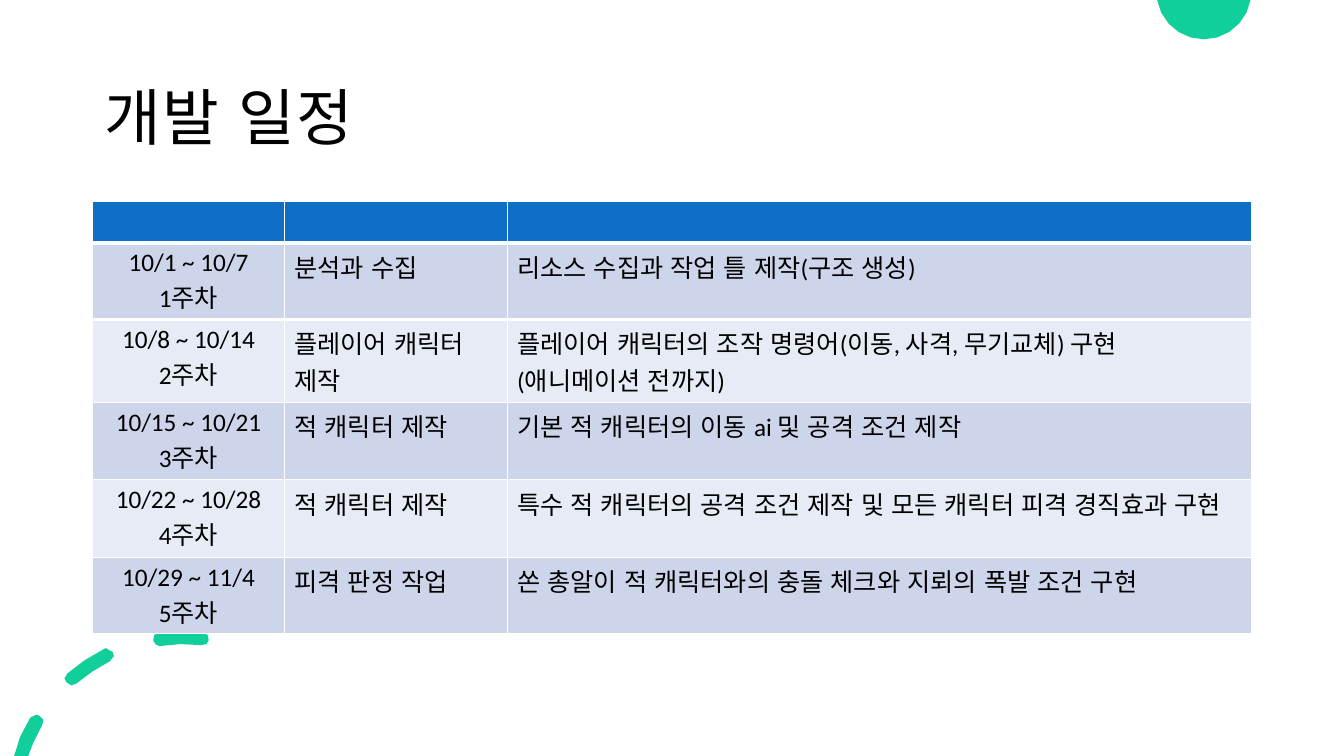
import math

import lxml.etree
import pptx
import pptx.dml.color
import pptx.enum.lang
import pptx.enum.text
import pptx.oxml
import pptx.oxml.ns
import pptx.util

# Scale: 100 px to the inch
EMU_PER_PX = 9144
SLIDE_SIZE = (1333, 750)

FONT = "Calibri"
GREEN = pptx.dml.color.RGBColor(0x10, 0xCF, 0x9B)
BLUE = pptx.dml.color.RGBColor(0x0F, 0x6F, 0xC6)
BAND_DARK = pptx.dml.color.RGBColor(0xCC, 0xD5, 0xEA)
BAND_LIGHT = pptx.dml.color.RGBColor(0xE7, 0xEB, 0xF5)
BLACK = pptx.dml.color.RGBColor(0x00, 0x00, 0x00)
WHITE = pptx.dml.color.RGBColor(0xFF, 0xFF, 0xFF)

# Corner dot: the part of a circle below the top edge
DOT_CENTER = (1194, -8)
DOT_RADIUS = 47
DOT_STEPS = 10

# Corner points of the three dashes
DASHES = [
    [(36, 709), (30, 712), (20, 731), (14, 750), (28, 750), (33, 737),
     (42, 719), (43, 714), (39, 710)],
    [(105, 643), (103, 644), (84, 655), (67, 668), (64, 673), (66, 677),
     (71, 680), (76, 678), (92, 666), (109, 656), (113, 651), (112, 647)],
    [(179, 625), (158, 627), (153, 630), (152, 635), (154, 639), (158, 641),
     (179, 639), (199, 640), (205, 639), (207, 635), (206, 630), (201, 627)],
]

COLUMN_WIDTHS = (190, 221, 738)
ROW_HEIGHTS = (41, 76, 82, 77, 77, 76)
SCHEDULE = [
    ("10/1 ~ 10/7", "분석과 수집", "리소스 수집과 작업 틀 제작(구조 생성)"),
    ("10/8 ~ 10/14", "플레이어 캐릭터\n제작",
     "플레이어 캐릭터의 조작 명령어(이동, 사격, 무기교체) 구현 (애니메이션 전까지)"),
    ("10/15 ~ 10/21", "적 캐릭터 제작", "기본 적 캐릭터의 이동 ai 및 공격 조건 제작"),
    ("10/22 ~ 10/28", "적 캐릭터 제작",
     "특수 적 캐릭터의 공격 조건 제작 및 모든 캐릭터 피격 경직효과 구현"),
    ("10/29 ~ 11/4", "피격 판정 작업",
     "쏜 총알이 적 캐릭터와의 충돌 체크와 지뢰의 폭발 조건 구현"),
]


def px(length):
    return pptx.util.Emu(round(length * EMU_PER_PX))


def format_runs(paragraph, size):
    for run in paragraph.runs:
        run.font.name = FONT
        run.font.size = pptx.util.Pt(size)
        run.font.bold = False
        run.font.color.rgb = BLACK
        run.font.language_id = pptx.enum.lang.MSO_LANGUAGE_ID.KOREAN


def dot_outline():
    """Return points along the arc from the right to the left edge crossing."""
    center_x, center_y = DOT_CENTER
    start = math.asin(-center_y / DOT_RADIUS)
    sweep = math.pi - 2 * start
    angles = [start + sweep * step / DOT_STEPS for step in range(DOT_STEPS + 1)]
    return [(center_x + DOT_RADIUS * math.cos(angle),
             center_y + DOT_RADIUS * math.sin(angle)) for angle in angles]


def add_outline(slide, contours):
    outlines = [[(px(x), px(y)) for x, y in contour] for contour in contours]
    builder = slide.shapes.build_freeform(*outlines[0][0])
    for index, points in enumerate(outlines):
        if index:
            builder.move_to(*points[0])
        builder.add_line_segments(points[1:], close=True)
    shape = builder.convert_to_shape()
    shape.shadow.inherit = False
    shape.fill.solid()
    shape.fill.fore_color.rgb = GREEN
    shape.line.fill.background()


def add_title(slide, text):
    shape = slide.shapes.add_textbox(px(92), px(40), px(1150), px(145))
    frame = shape.text_frame
    frame.word_wrap = True
    frame.vertical_anchor = pptx.enum.text.MSO_ANCHOR.MIDDLE
    frame.margin_left = frame.margin_top = frame.margin_right = px(12)
    frame.margin_bottom = px(10)
    frame.text = text
    paragraph = frame.paragraphs[0]
    paragraph.line_spacing = 1.05
    format_runs(paragraph, 44)
    # Letter spacing in hundredths of a point
    paragraph.runs[0].font._element.set("spc", "70")


def fill_cell(cell, color, text="", centered=False):
    cell.fill.solid()
    cell.fill.fore_color.rgb = color
    cell.text_frame.text = text
    for paragraph in cell.text_frame.paragraphs:
        if centered:
            paragraph.alignment = pptx.enum.text.PP_ALIGN.CENTER
        format_runs(paragraph, 18)


def set_border(cell, side, color, points):
    qn = pptx.oxml.ns.qn
    line = lxml.etree.Element(qn(f"a:{side}"), w=str(pptx.util.Pt(points)))
    fill = lxml.etree.SubElement(line, qn("a:solidFill"))
    lxml.etree.SubElement(fill, qn("a:srgbClr"), val=str(color))
    cell._tc.get_or_add_tcPr().insert(0, line)


def add_schedule(slide):
    frame = slide.shapes.add_table(
        len(ROW_HEIGHTS), len(COLUMN_WIDTHS), px(92), px(200),
        px(sum(COLUMN_WIDTHS)), px(sum(ROW_HEIGHTS)))
    table = frame.table
    for column, width in zip(table.columns, COLUMN_WIDTHS):
        column.width = px(width)
    for row, height in zip(table.rows, ROW_HEIGHTS):
        row.height = px(height)
    for cell in table.rows[0].cells:
        fill_cell(cell, BLUE)
        set_border(cell, "lnB", WHITE, 3)
    for week, (dates, task, detail) in enumerate(SCHEDULE, start=1):
        color = BAND_DARK if week % 2 else BAND_LIGHT
        texts = (f"{dates}\n{week}주차", task, detail)
        for column, text in enumerate(texts):
            fill_cell(table.cell(week, column), color, text, centered=column == 0)
    for cell in table.rows[1].cells:
        set_border(cell, "lnT", WHITE, 3)


def main():
    presentation = pptx.Presentation()
    presentation.slide_width, presentation.slide_height = map(px, SLIDE_SIZE)
    slide = presentation.slides.add_slide(presentation.slide_layouts[6])

    # Decoration
    add_outline(slide, [dot_outline()])
    add_outline(slide, DASHES)

    # Content
    add_title(slide, "개발 일정")
    add_schedule(slide)

    presentation.save("out.pptx")


if __name__ == "__main__":
    main()
